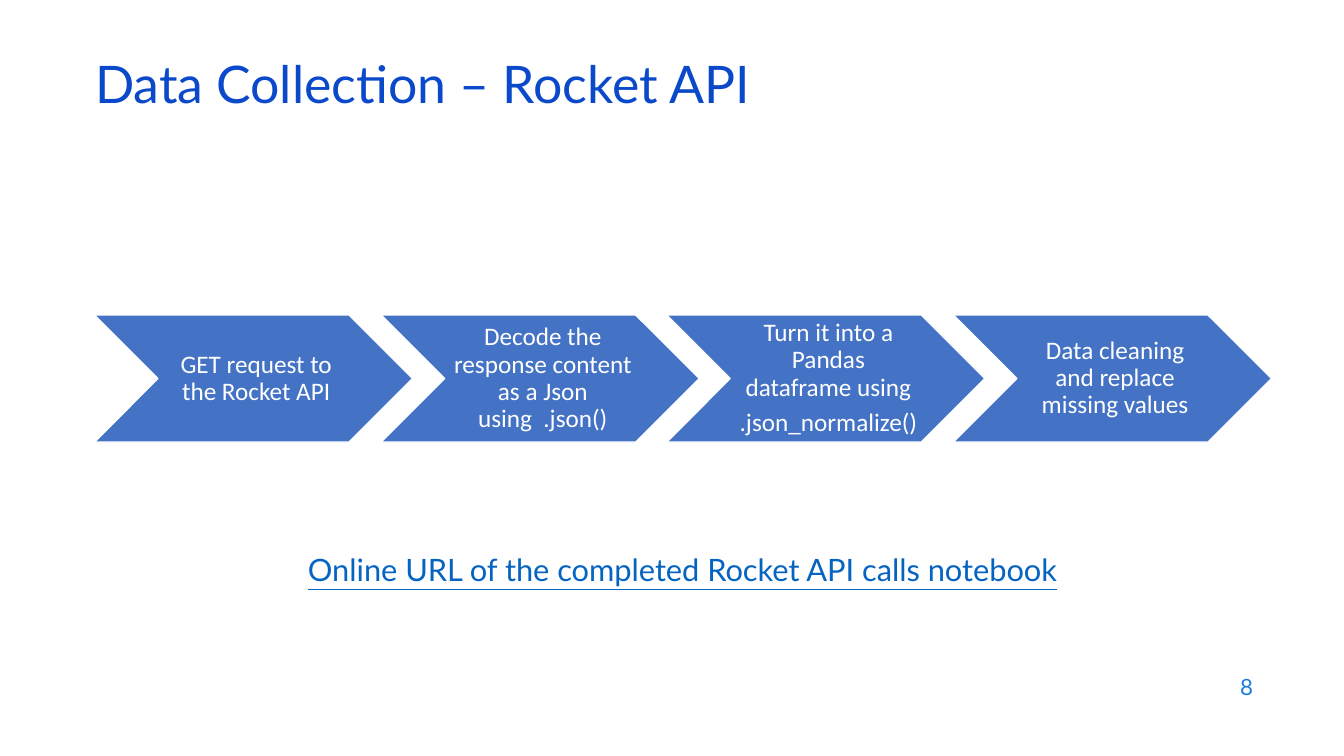
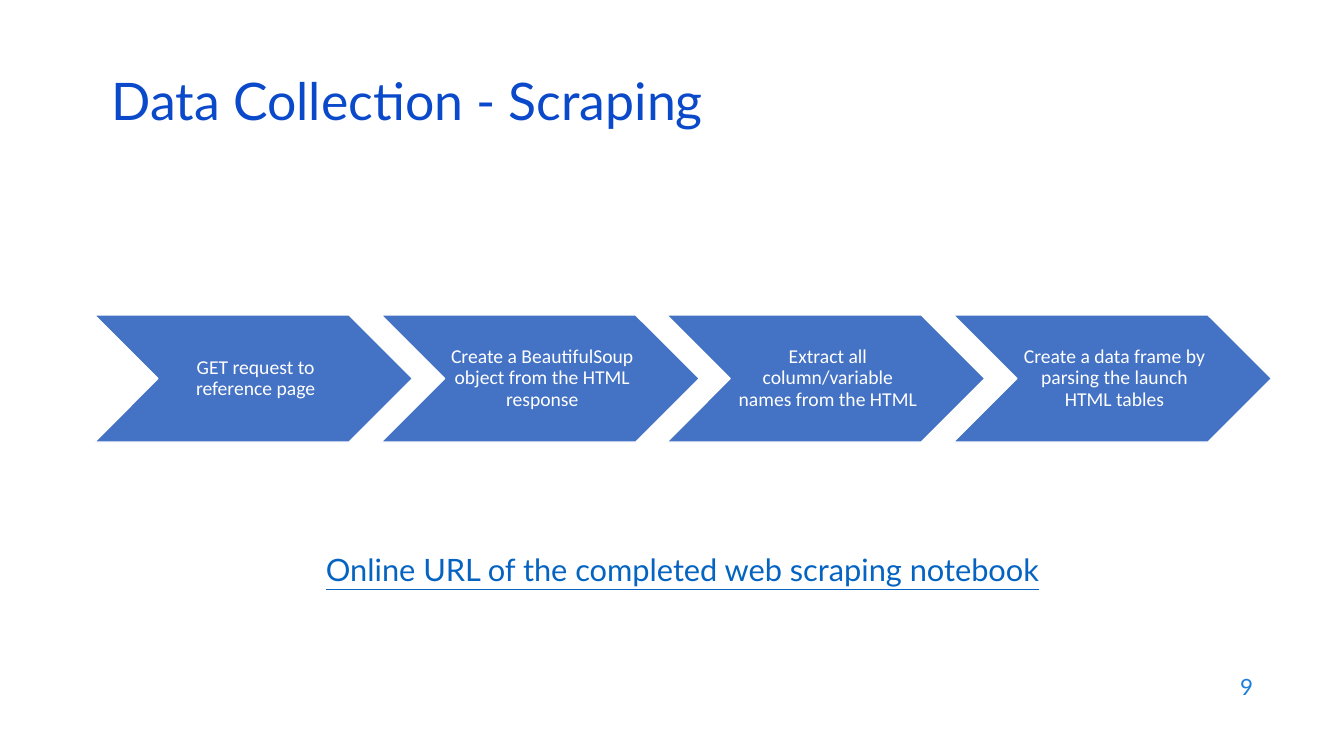
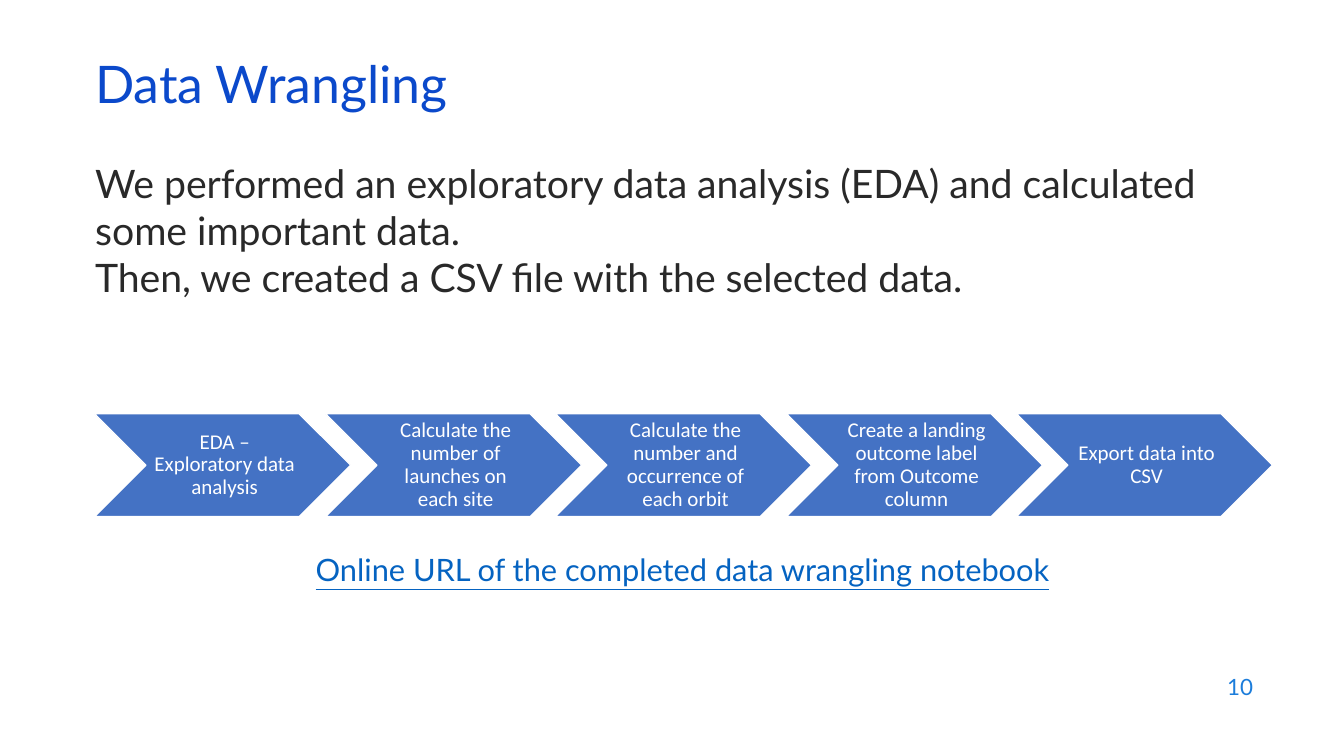
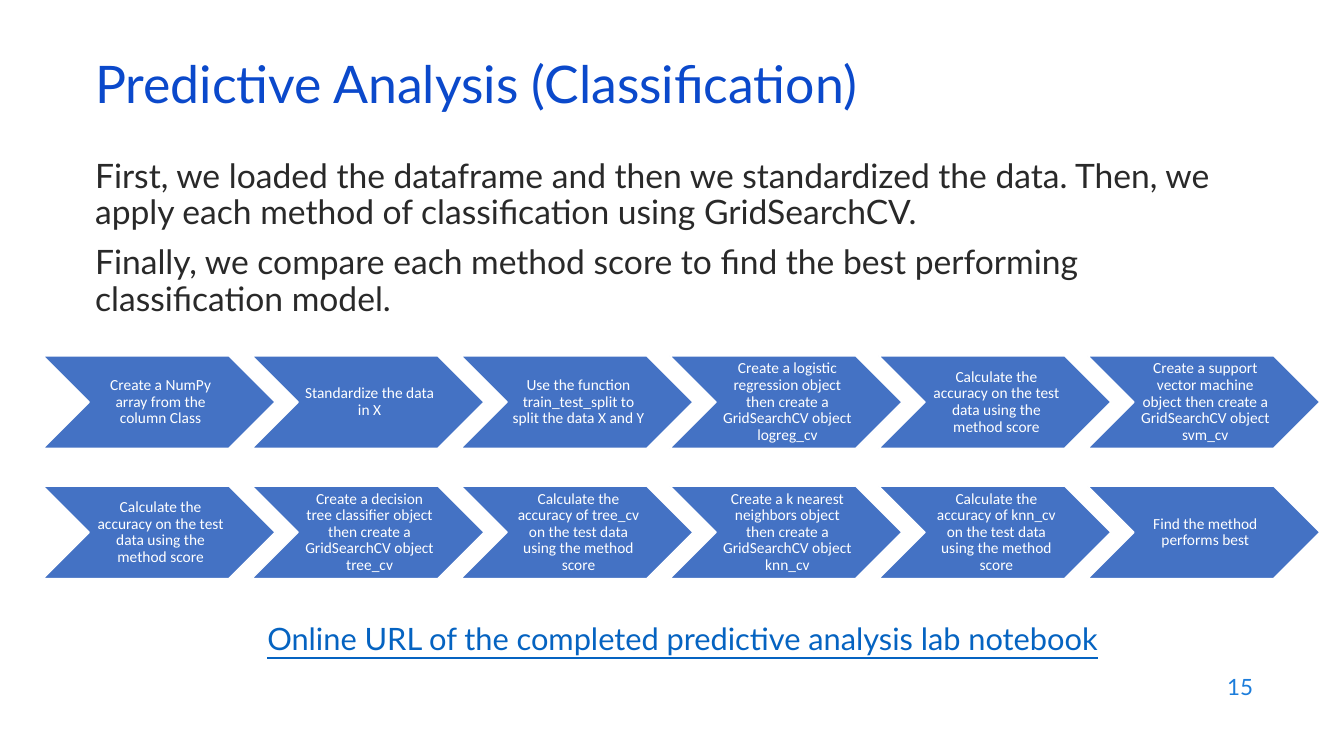
"""Builds four slides on data collection, wrangling and classification as chevron flows."""
from lxml import etree
from pptx import Presentation
from pptx.dml.color import RGBColor
from pptx.enum.shapes import MSO_SHAPE
from pptx.enum.text import MSO_ANCHOR, MSO_AUTO_SIZE, PP_ALIGN
from pptx.oxml.ns import qn
from pptx.util import Pt

CHEVRON = MSO_SHAPE.CHEVRON
TOP, MIDDLE = MSO_ANCHOR.TOP, MSO_ANCHOR.MIDDLE
NO_FIT = MSO_AUTO_SIZE.NONE
LEFT, CENTER, RIGHT = PP_ALIGN.LEFT, PP_ALIGN.CENTER, PP_ALIGN.RIGHT
PX = 9525
TITLE_ONLY, TITLE_AND_BODY = 5, 1
FLOW_BLUE, WHITE = "4472C4", "FFFFFF"

TITLE = {"font": "Lato", "color": "0B49CB", "size": 37, "align": LEFT, "anchor": MIDDLE, "spacing": 0.7}
PROSE = {"font": "Lato", "color": "292929", "size": 24, "align": LEFT, "anchor": TOP, "spacing": 0.9, "before": 10}
LINK = {"font": "Lato", "color": "0563C1", "size": 22, "align": CENTER, "anchor": TOP, "spacing": 0.9,
        "underline": True}
NUMBER = {"font": "Lato", "color": "1C7DDB", "size": 16, "align": RIGHT, "anchor": MIDDLE, "spacing": 1.0}
STEP = {"font": "Calibri", "color": WHITE, "size": 18, "align": CENTER, "anchor": MIDDLE, "spacing": 0.9,
        "before": 6}


def emu(*lengths):
    return [round(length) * PX for length in lengths]


def write(frame, text, style):
    for name, value in {"word_wrap": True, "auto_size": NO_FIT, "vertical_anchor": style["anchor"]}.items():
        setattr(frame, name, value)
    for index, line in enumerate(text.split("\n")):
        paragraph = frame.add_paragraph() if index else frame.paragraphs[0]
        properties = paragraph._p.get_or_add_pPr()
        for name in ("marL", "indent"):
            properties.set(name, "0")
        etree.SubElement(properties, qn("a:buNone"))
        layout = {"alignment": style["align"], "line_spacing": style["spacing"],
                  "space_before": Pt(style.get("before", 0) if index else 0), "space_after": Pt(0)}
        for name, value in layout.items():
            setattr(paragraph, name, value)
        run = paragraph.add_run()
        run.text = line
        letters = {"name": style["font"], "size": Pt(style["size"]), "underline": style.get("underline")}
        for name, value in letters.items():
            setattr(run.font, name, value)
        run.font.color.rgb = RGBColor.from_string(style["color"])


pages = [
    {
        "number": "8", "title": "Data Collection – Rocket API",
        "link": "Online URL of the completed Rocket API calls notebook",
        "left": 90, "step_width": 303, "step_size": 18,
        "flows": {300: [
            "GET request to the Rocket API",
            "Decode the response content as a Json using  .json()",
            "Turn it into a Pandas dataframe using\n.json_normalize()",
            "Data cleaning and replace missing values",
        ]},
    },
    {
        "number": "9", "title": "Data Collection - Scraping", "title_at": (97, 73),
        "link": "Online URL of the completed web scraping notebook",
        "left": 90, "step_width": 303, "step_size": 14,
        "flows": {300: [
            "GET request to reference page",
            "Create a BeautifulSoup object from the HTML response",
            "Extract all column/variable names from the HTML",
            "Create a data frame by parsing the launch HTML tables",
        ]},
    },
    {
        "number": "10", "title": "Data Wrangling",
        "prose": "We performed an exploratory data analysis (EDA) and calculated some important data.\n"
                 "Then, we created a CSV file with the selected data.",
        "prose_style": {"size": 28, "spacing": 1.0, "before": 0},
        "link": "Online URL of the completed data wrangling notebook",
        "left": 90, "step_width": 244, "step_size": 15,
        "flows": {394: [
            "EDA – Exploratory data analysis",
            "Calculate the number of launches on each site",
            "Calculate the number and occurrence of each orbit",
            "Create a landing outcome label from Outcome column",
            "Export data into CSV",
        ]},
    },
    {
        "number": "15", "title": "Predictive Analysis (Classification)",
        "prose": "First, we loaded the dataframe and then we standardized the data. "
                 "Then, we apply each method of classification using GridSearchCV.\n"
                 "Finally, we compare each method score to find the best performing classification model.",
        "link": "Online URL of the completed predictive analysis lab notebook", "link_top": 589,
        "left": 41, "step_width": 221, "step_size": 11,
        "flows": {
            339: [
                "Create a NumPy array from the column Class",
                "Standardize the data in X",
                "Use the function train_test_split to split the data X and Y",
                "Create a logistic regression object then create a GridSearchCV object logreg_cv",
                "Calculate the accuracy on the test data using the method score",
                "Create a support vector machine object then create a GridSearchCV object svm_cv",
            ],
            463: [
                "Calculate the accuracy on the test data using the method score",
                "Create a decision tree classifier object then create a GridSearchCV object tree_cv",
                "Calculate the accuracy of tree_cv on the test data using the method score",
                "Create a k nearest neighbors object then create a GridSearchCV object knn_cv",
                "Calculate the accuracy of knn_cv on the test data using the method score",
                "Find the method performs best",
            ],
        },
    },
]

deck = Presentation()
deck.slide_width, deck.slide_height = emu(1280, 720)

for page in pages:
    layout_index = TITLE_AND_BODY if "prose" in page else TITLE_ONLY
    slide = deck.slides.add_slide(deck.slide_layouts[layout_index])

    parts = [(slide.shapes.title, page["title"], TITLE, (*page.get("title_at", (81, 57)), 1104, 58))]
    if "prose" in page:
        prose_style = {**PROSE, **page.get("prose_style", {})}
        parts.append((slide.placeholders[1], page["prose"], prose_style, (81, 147, 1122, 213)))
    for placeholder, text, style, bounds in parts:
        for name, value in zip(("left", "top", "width", "height"), emu(*bounds)):
            setattr(placeholder, name, value)
        write(placeholder.text_frame, text, style)

    link = slide.shapes.add_textbox(*emu(89, page.get("link_top", 524), 1122, 42))
    write(link.text_frame, page["link"], LINK)
    number = slide.shapes.add_textbox(*emu(915, 633, 288, 42))
    write(number.text_frame, page["number"], NUMBER)

    width, size = page["step_width"], page["step_size"]
    left_inset, inset = emu(size * 0.43, size * 0.15)
    for top, steps in page["flows"].items():
        for column, text in enumerate(steps):
            left = page["left"] + column * width * 0.9
            step = slide.shapes.add_shape(CHEVRON, *emu(left, top, width, width * 0.4))
            step.shadow.inherit = False
            step.fill.solid()
            step.fill.fore_color.rgb = RGBColor.from_string(FLOW_BLUE)
            step.line.color.rgb = RGBColor.from_string(WHITE)
            step.line.width = Pt(1)
            insets = {"margin_left": left_inset, "margin_right": inset, "margin_top": inset, "margin_bottom": inset}
            for name, value in insets.items():
                setattr(step.text_frame, name, value)
            write(step.text_frame, text, {**STEP, "size": size})

deck.save("out.pptx")
